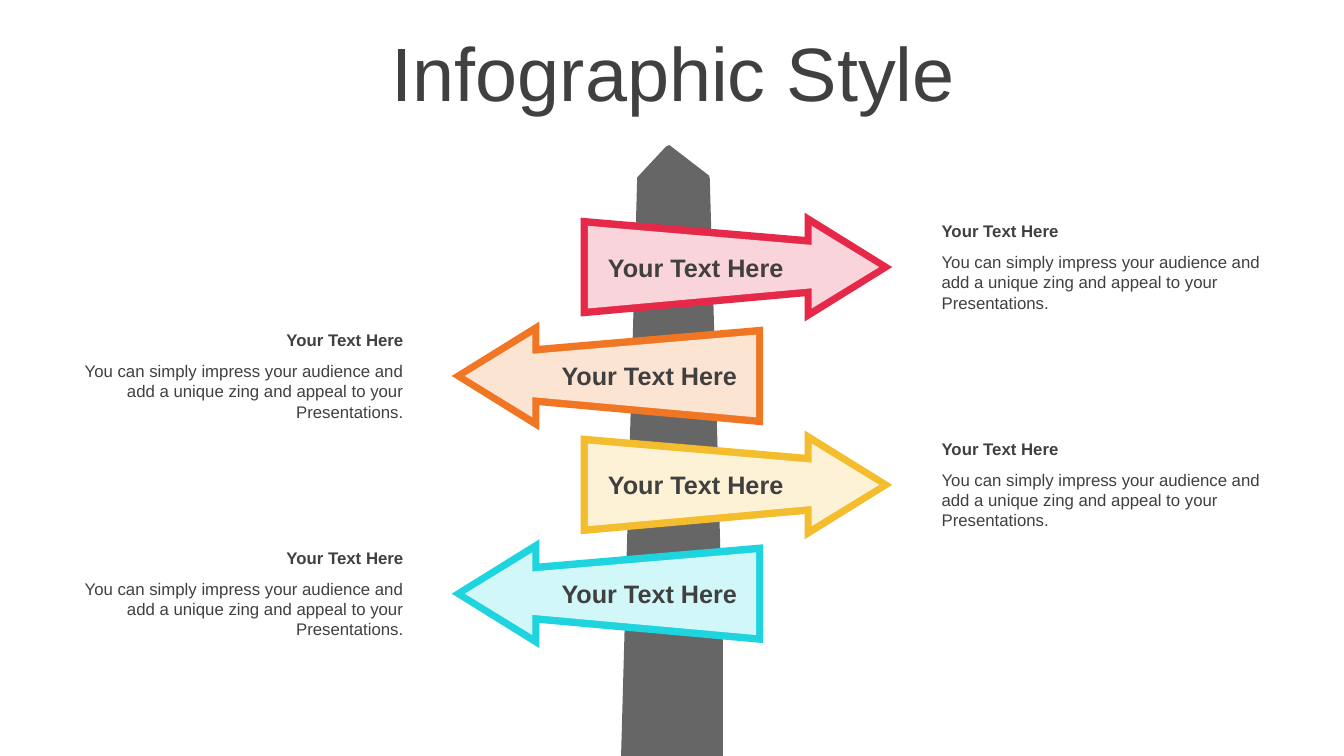
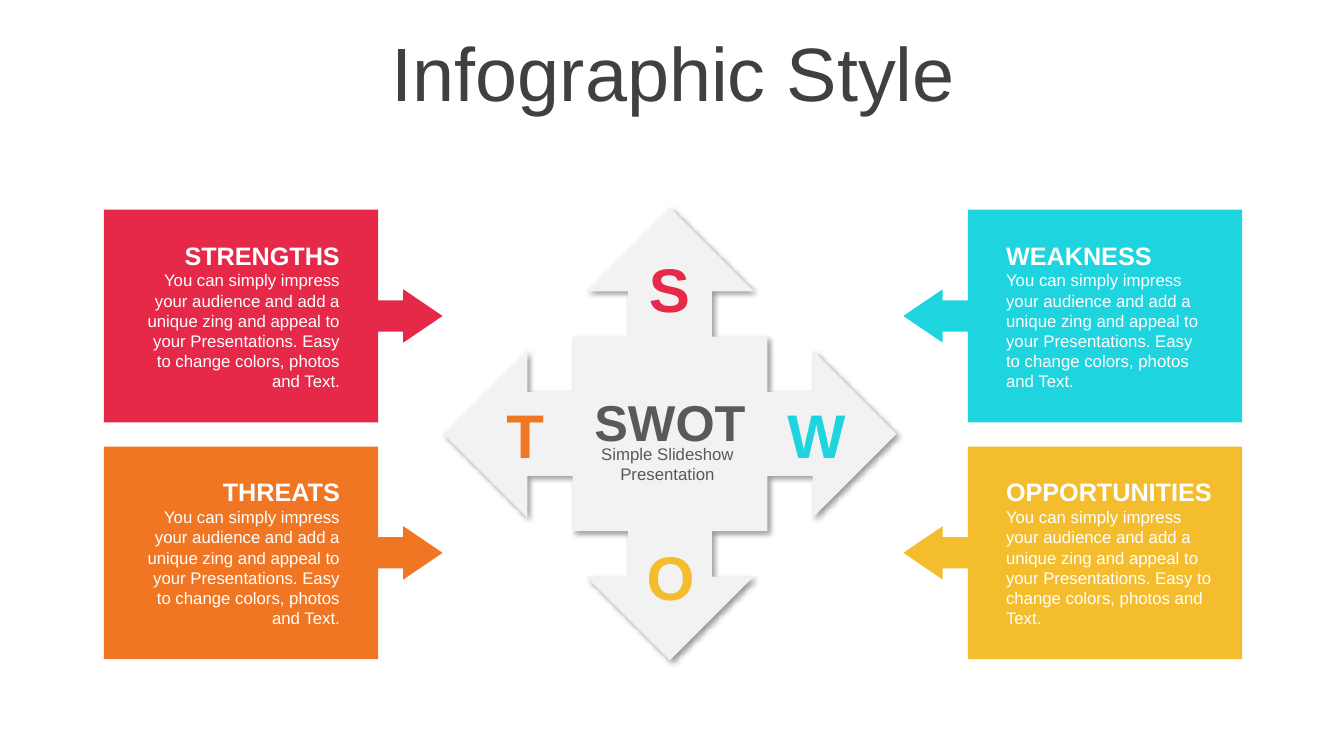
from lxml.etree import SubElement
from pptx import Presentation
from pptx.dml.color import RGBColor
from pptx.enum.shapes import MSO_SHAPE
from pptx.enum.text import MSO_ANCHOR, MSO_AUTO_SIZE, PP_ALIGN
from pptx.oxml.ns import qn
from pptx.util import Inches, Pt

# Shared style
FONT = "Arial"
TITLE = "Infographic Style"
RED, ORANGE, YELLOW, CYAN = "E62949", "F07624", "F4BD2D", "1ED4DE"
DARK, GREY, POST, PALE, WHITE = "404040", "595959", "666666", "F2F2F2", "FFFFFF"
LEFT, CENTER, RIGHT = PP_ALIGN.LEFT, PP_ALIGN.CENTER, PP_ALIGN.RIGHT

# Signpost content: border, fill, points right
LABEL = "Your Text Here"
CAPTION = ("You can simply impress your audience and add a unique zing "
           "and appeal to your Presentations.")
SIGNS = [
    (RED, "FAD4DB", True),
    (ORANGE, "FCE4D3", False),
    (YELLOW, "FDF2D5", True),
    (CYAN, "D2F7F9", False),
]
FIRST_SIGN, SIGN_PITCH = 2.65, 1.08
POST_OUTLINE = [(6.32, 1.76), (6.61, 1.45), (6.64, 1.44), (7.03, 1.74),
                (7.04, 1.77), (7.11, 4.17), (7.17, 6.4), (7.17, 7.5), (6.16, 7.5)]
# Sign outlines, measured from the tail along the axis of the arrow
SIGN_BORDER = [(0, -0.49), (2.22, -0.3), (2.22, -0.54), (3.09, 0),
               (2.22, 0.54), (2.22, 0.29), (0, 0.49)]
SIGN_FACE = [(0.07, -0.41), (2.29, -0.22), (2.29, -0.41), (2.96, 0),
             (2.29, 0.41), (2.29, 0.21), (0.07, 0.41)]

# SWOT content
SWOT_TEXT = CAPTION + " Easy to change colors, photos and Text."
# heading, colour, on the left, row, text width
PANELS = [
    ("STRENGTHS", RED, True, 0, 2.17),
    ("WEAKNESS", CYAN, False, 0, 2.22),
    ("THREATS", ORANGE, True, 1, 2.17),
    ("OPPORTUNITIES", YELLOW, False, 1, 2.3),
]
PANEL_W, PANEL_H, BODY_W = 3.36, 2.11, 2.72
PANEL_TOP, PANEL_PITCH = 2.08, 2.35
LETTERS = [("S", RED, 6.3, 2.44), ("W", CYAN, 7.71, 3.89),
           ("O", YELLOW, 6.31, 5.3), ("T", ORANGE, 4.87, 3.89)]


def rgb(color):
    return RGBColor.from_string(color)


def paint(sp, color):
    sp.shadow.inherit = False
    sp.fill.solid()
    sp.fill.fore_color.rgb = rgb(color)
    sp.line.fill.background()


def write(p, text, size, color, bold=False, align=CENTER):
    p.alignment = align
    r = p.add_run()
    r.text = text
    r.font.name, r.font.size, r.font.bold = FONT, Pt(size), bold
    r.font.color.rgb = rgb(color)


def add_text(s, box, lines, align=CENTER, gap=0):
    """Each line is (text, size, colour, bold); gap separates paragraphs."""
    tf = s.shapes.add_textbox(*map(Inches, box)).text_frame
    tf.word_wrap = True
    for i, line in enumerate(lines):
        p = tf.add_paragraph() if i else tf.paragraphs[0]
        if i and gap:
            p.space_before = Pt(gap)
        write(p, *line, align=align)


def add_outline(s, points, color):
    pts = [(Inches(x), Inches(y)) for x, y in points]
    fb = s.shapes.build_freeform(*pts[0])
    fb.add_line_segments(pts[1:], close=True)
    paint(fb.convert_to_shape(), color)


def add_preset(s, kind, box, color, adjustments):
    sp = s.shapes.add_shape(kind, *map(Inches, box))
    for i, value in enumerate(adjustments):
        sp.adjustments[i] = value
    paint(sp, color)
    return sp


def add_shadow(sp):
    effects = sp._element.spPr.find(qn("a:effectLst"))
    shadow = SubElement(effects, qn("a:outerShdw"), blurRad=str(Pt(4)),
                        dist=str(Pt(3)), dir="2700000", algn="tl", rotWithShape="0")
    tint = SubElement(shadow, qn("a:srgbClr"), val="000000")
    SubElement(tint, qn("a:alpha"), val="40000")


def new_slide(prs):
    s = prs.slides.add_slide(prs.slide_layouts[5])
    title = s.shapes.title
    title.left, title.top = Inches(0.35), Inches(0.37)
    title.width, title.height = Inches(12.66), Inches(0.79)
    tf = title.text_frame
    tf.auto_size = MSO_AUTO_SIZE.NONE
    tf.vertical_anchor = MSO_ANCHOR.MIDDLE
    p = tf.paragraphs[0]
    p.line_spacing = 0.9
    write(p, TITLE, 54, DARK)
    return s


def signpost_slide(prs):
    s = new_slide(prs)
    add_outline(s, POST_OUTLINE, POST)
    for i, (border, face, points_right) in enumerate(SIGNS):
        cy = FIRST_SIGN + i * SIGN_PITCH
        if points_right:
            tail, way, label_x, caption_x, align = 5.76, 1, 5.83, 9.24, LEFT
        else:
            tail, way, label_x, caption_x, align = 7.57, -1, 5.37, 0.72, RIGHT
        for outline, color in ((SIGN_BORDER, border), (SIGN_FACE, face)):
            add_outline(s, [(tail + way * dx, cy + dy) for dx, dy in outline], color)
        add_text(s, (label_x, cy - 0.2, 2.14, 0.4), [(LABEL, 18, DARK, True)])
        add_text(s, (caption_x, cy - 0.51, 3.38, 1.02),
                 [(LABEL, 12, DARK, True), (CAPTION, 12, DARK)], align, gap=8)


def swot_slide(prs):
    s = new_slide(prs)
    # Colour panels with their arrows
    arrow = [0.31 / PANEL_H, 0.265 / PANEL_H, 0.39 / PANEL_H, BODY_W / PANEL_W]
    for heading, color, on_left, row, text_w in PANELS:
        top = PANEL_TOP + row * PANEL_PITCH
        if on_left:
            kind, x, text_x, align = MSO_SHAPE.RIGHT_ARROW_CALLOUT, 1.03, 1.3, RIGHT
        else:
            kind, x, text_x, align = MSO_SHAPE.LEFT_ARROW_CALLOUT, 8.96, 9.88, LEFT
        add_preset(s, kind, (x, top, PANEL_W, PANEL_H), color, arrow)
        add_text(s, (text_x, top + 0.25, text_w, 1.61),
                 [(heading, 18, WHITE, True), (SWOT_TEXT, 12, WHITE)], align)

    # Central four-way arrow
    hub = add_preset(s, MSO_SHAPE.QUAD_ARROW_CALLOUT, (4.4, 2.06, 4.49, 4.49),
                     PALE, [0.185, 0.185, 0.185, 0.43])
    add_shadow(hub)
    for letter, color, x, y in LETTERS:
        add_text(s, (x, y, 0.68, 0.84), [(letter, 44, color, True)])
    add_text(s, (5.67, 3.83, 1.95, 0.71), [("SWOT", 36, GREY, True)])
    add_text(s, (5.75, 4.35, 1.74, 0.5), [("Simple Slideshow Presentation", 12, GREY)])


def main():
    prs = Presentation()
    prs.slide_width, prs.slide_height = Inches(13.33), Inches(7.5)
    signpost_slide(prs)
    swot_slide(prs)
    prs.save("out.pptx")


if __name__ == "__main__":
    main()
